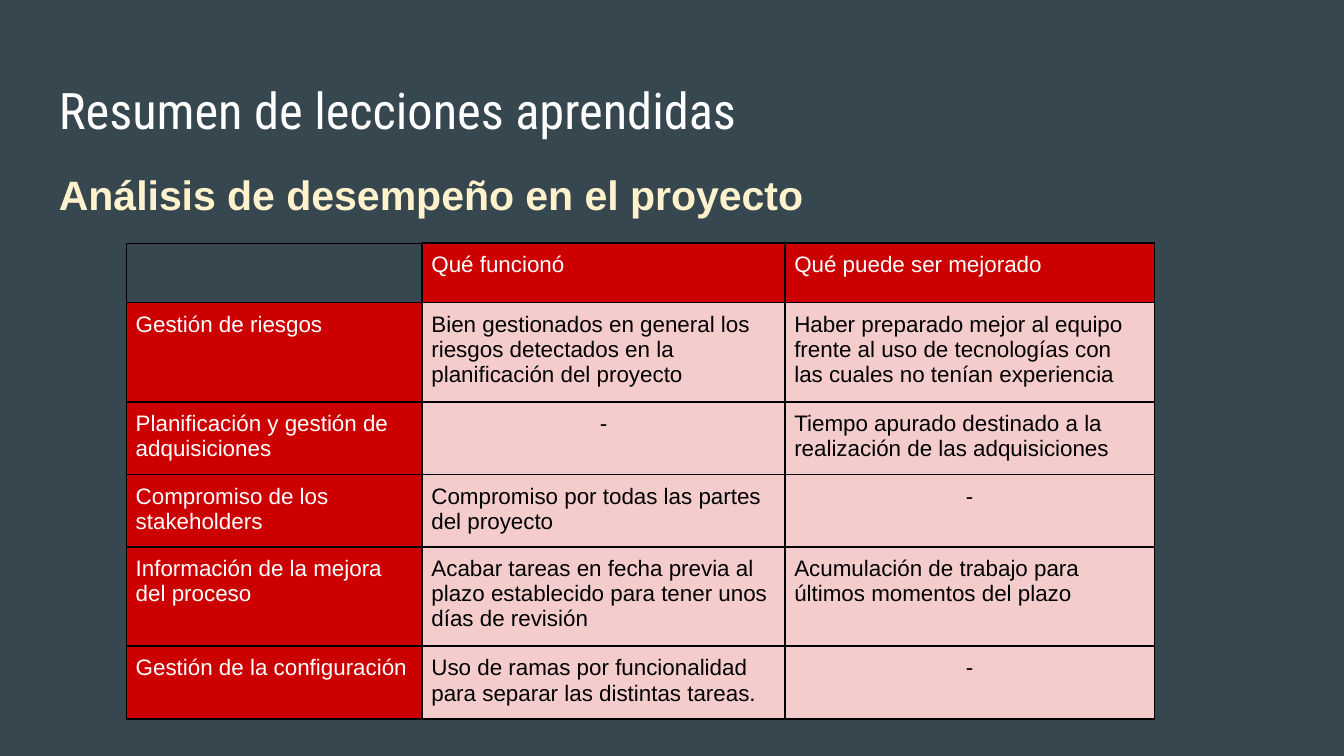
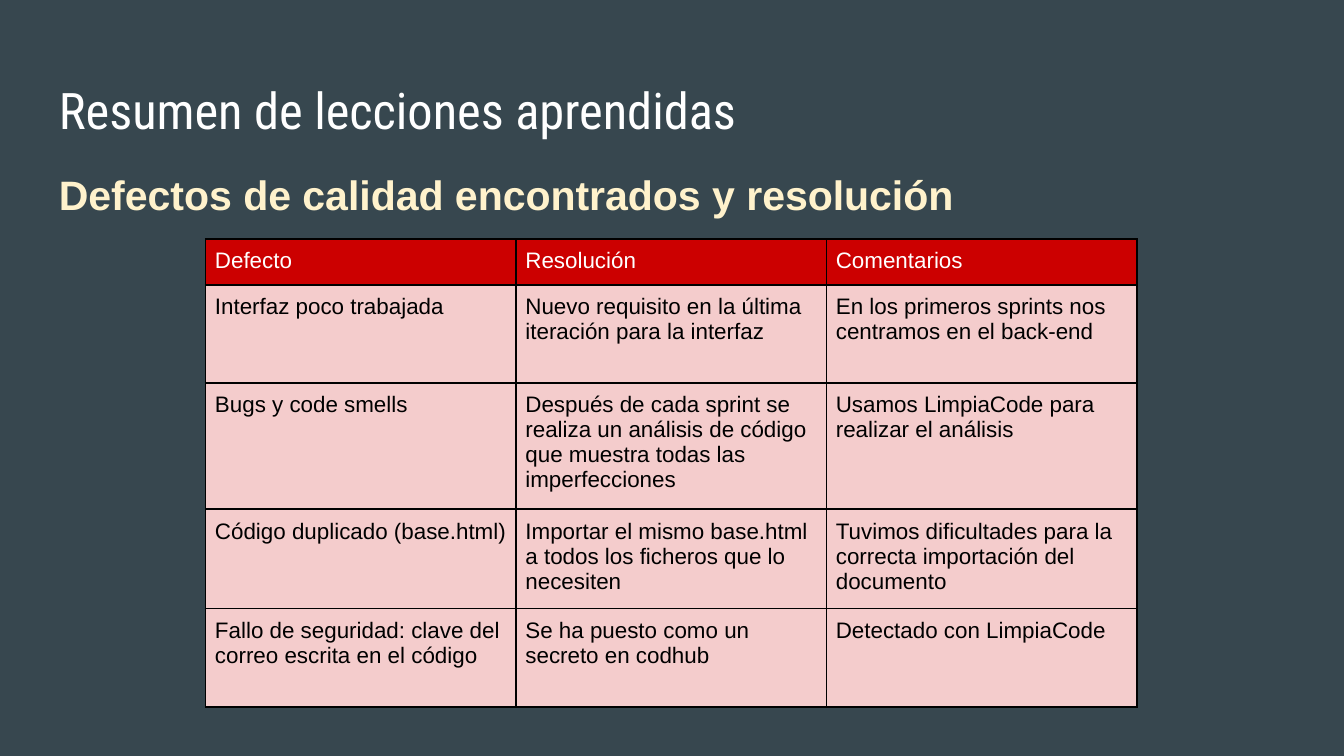
from dataclasses import dataclass

from lxml import etree
from pptx import Presentation
from pptx.dml.color import RGBColor
from pptx.enum.text import MSO_ANCHOR, MSO_AUTO_SIZE, PP_ALIGN
from pptx.oxml.ns import qn
from pptx.util import Emu, Inches, Pt

TOP = MSO_ANCHOR.TOP
FIT_SHAPE = MSO_AUTO_SIZE.SHAPE_TO_FIT_TEXT
FIXED = MSO_AUTO_SIZE.NONE
LEFT, CENTER, JUSTIFY = PP_ALIGN.LEFT, PP_ALIGN.CENTER, PP_ALIGN.JUSTIFY
SIDES = ("L", "R", "T", "B")
NO_DATA = "-"


@dataclass(frozen=True)
class TextStyle:
    font: str
    size: float
    color: str
    bold: bool = False


@dataclass(frozen=True)
class Theme:
    background: str = "37474F"
    header_fill: str = "CC0000"
    body_fill: str = "F4CCCC"
    border: str = "000000"
    border_width: float = 1
    corner_width: float = 0.75
    title: TextStyle = TextStyle("Roboto Condensed", 27, "FFFFFF")
    subtitle: TextStyle = TextStyle("Arial", 22, "FFF2CC", True)
    header: TextStyle = TextStyle("Arial", 12, "FFFFFF")
    body: TextStyle = TextStyle("Arial", 12, "000000")
    text_inset: float = 1
    cell_inset: float = 0.7


@dataclass(frozen=True)
class Box:
    column: float
    row: float
    columns: float
    rows: float


@dataclass(frozen=True)
class Lessons:
    subtitle: str
    subtitle_columns: float
    column: float
    row: float
    widths: tuple[float, ...]
    heights: tuple[float, ...]
    cells: tuple[tuple[str, ...], ...]
    has_row_headers: bool = False


THEME = Theme()
GRID_STEP = Inches(0.1)
GRID_COLUMNS, GRID_ROWS = 100, 56.25
MARGIN = 3.4
TITLE = "Resumen de lecciones aprendidas"
TITLE_BOX = Box(MARGIN, 4.9, GRID_COLUMNS - 2 * MARGIN, 6.3)
SUBTITLE_ROW, SUBTITLE_ROWS = 11.1, 5.7

PERFORMANCE = Lessons(
    subtitle="Análisis de desempeño en el proyecto",
    subtitle_columns=68.3,
    column=9.4,
    row=18.1,
    widths=(22, 27, 27.5),
    heights=(4.4, 7.4, 5.4, 5.4, 7.4, 5.4),
    has_row_headers=True,
    cells=(
        ("", "Qué funcionó", "Qué puede ser mejorado"),
        ("Gestión de riesgos",
         "Bien gestionados en general los riesgos detectados en la planificación del proyecto",
         "Haber preparado mejor al equipo frente al uso de tecnologías con las cuales no tenían experiencia"),
        ("Planificación y gestión de adquisiciones",
         NO_DATA,
         "Tiempo apurado destinado a la realización de las adquisiciones"),
        ("Compromiso de los stakeholders",
         "Compromiso por todas las partes del proyecto",
         NO_DATA),
        ("Información de la mejora del proceso",
         "Acabar tareas en fecha previa al plazo establecido para tener unos días de revisión",
         "Acumulación de trabajo para últimos momentos del plazo"),
        ("Gestión de la configuración",
         "Uso de ramas por funcionalidad para separar las distintas tareas.",
         NO_DATA),
    ),
)

DEFECTS = Lessons(
    subtitle="Defectos de calidad encontrados y resolución",
    subtitle_columns=79.7,
    column=15.3,
    row=17.8,
    widths=(23.1,) * 3,
    heights=(3.4, 7.3, 9.4, 7.4, 7.3),
    cells=(
        ("Defecto", "Resolución", "Comentarios"),
        ("Interfaz poco trabajada",
         "Nuevo requisito en la última iteración para la interfaz",
         "En los primeros sprints nos centramos en el back-end"),
        ("Bugs y code smells",
         "Después de cada sprint se realiza un análisis de código que muestra todas las imperfecciones",
         "Usamos LimpiaCode para realizar el análisis"),
        ("Código duplicado (base.html)",
         "Importar el mismo base.html a todos los ficheros que lo necesiten",
         "Tuvimos dificultades para la correcta importación del documento"),
        ("Fallo de seguridad: clave del correo escrita en el código",
         "Se ha puesto como un secreto en codhub",
         "Detectado con LimpiaCode"),
    ),
)


def grid(units: float) -> Emu:
    return Emu(round(units * GRID_STEP))


def style_paragraph(paragraph, style: TextStyle, alignment=LEFT) -> None:
    paragraph.alignment = alignment
    paragraph.font.name = style.font
    paragraph.font.size = Pt(style.size)
    paragraph.font.bold = style.bold
    paragraph.font.color.rgb = RGBColor.from_string(style.color)


def set_insets(holder, inset: float) -> None:
    holder.margin_left = holder.margin_right = grid(inset)
    holder.margin_top = holder.margin_bottom = grid(inset)


def add_text(slide, text: str, box: Box, style: TextStyle, alignment=LEFT, fit=FIXED):
    frame = slide.shapes.add_textbox(
        grid(box.column), grid(box.row), grid(box.columns), grid(box.rows)
    ).text_frame
    frame.word_wrap = True
    frame.auto_size = fit
    frame.vertical_anchor = TOP
    set_insets(frame, THEME.text_inset)
    paragraph = frame.paragraphs[0]
    paragraph.text = text
    style_paragraph(paragraph, style, alignment)
    return paragraph


def add_borders(cell, is_corner: bool) -> None:
    properties = cell._tc.get_or_add_tcPr()
    for side in SIDES:
        thin = is_corner and side in ("L", "T")
        width = THEME.corner_width if thin else THEME.border_width
        line = etree.SubElement(properties, qn(f"a:ln{side}"), w=str(Pt(width)))
        fill = etree.SubElement(line, qn("a:solidFill"))
        etree.SubElement(fill, qn("a:srgbClr"), val=THEME.border)


def fill_cell(cell, text: str, is_header: bool) -> None:
    set_insets(cell, THEME.cell_inset)
    cell.vertical_anchor = TOP
    add_borders(cell, is_corner=not text)
    if text:
        color = THEME.header_fill if is_header else THEME.body_fill
        cell.fill.solid()
        cell.fill.fore_color.rgb = RGBColor.from_string(color)
    else:
        cell.fill.background()
    paragraph = cell.text_frame.paragraphs[0]
    paragraph.text = text
    style = THEME.header if is_header else THEME.body
    style_paragraph(paragraph, style, CENTER if text == NO_DATA else LEFT)


def add_lessons_table(slide, lessons: Lessons) -> None:
    table = slide.shapes.add_table(
        len(lessons.heights), len(lessons.widths),
        grid(lessons.column), grid(lessons.row),
        grid(sum(lessons.widths)), grid(sum(lessons.heights)),
    ).table
    table.first_row = table.horz_banding = False
    for column, width in zip(table.columns, lessons.widths):
        column.width = grid(width)
    for row, height in zip(table.rows, lessons.heights):
        row.height = grid(height)
    for r, texts in enumerate(lessons.cells):
        for c, text in enumerate(texts):
            is_header = r == 0 or (lessons.has_row_headers and c == 0)
            fill_cell(table.cell(r, c), text, is_header)


def add_lessons_slide(deck, lessons: Lessons) -> None:
    slide = deck.slides.add_slide(deck.slide_layouts[6])
    slide.background.fill.solid()
    slide.background.fill.fore_color.rgb = RGBColor.from_string(THEME.background)
    add_text(slide, TITLE, TITLE_BOX, THEME.title)
    subtitle_box = Box(MARGIN, SUBTITLE_ROW, lessons.subtitle_columns, SUBTITLE_ROWS)
    subtitle = add_text(
        slide, lessons.subtitle, subtitle_box, THEME.subtitle, JUSTIFY, FIT_SHAPE
    )
    subtitle.line_spacing = 1.15
    subtitle.space_before = Pt(20)
    subtitle.space_after = Pt(6)
    add_lessons_table(slide, lessons)


def main() -> None:
    deck = Presentation()
    deck.slide_width = grid(GRID_COLUMNS)
    deck.slide_height = grid(GRID_ROWS)
    for lessons in (PERFORMANCE, DEFECTS):
        add_lessons_slide(deck, lessons)
    deck.save("out.pptx")


main()
